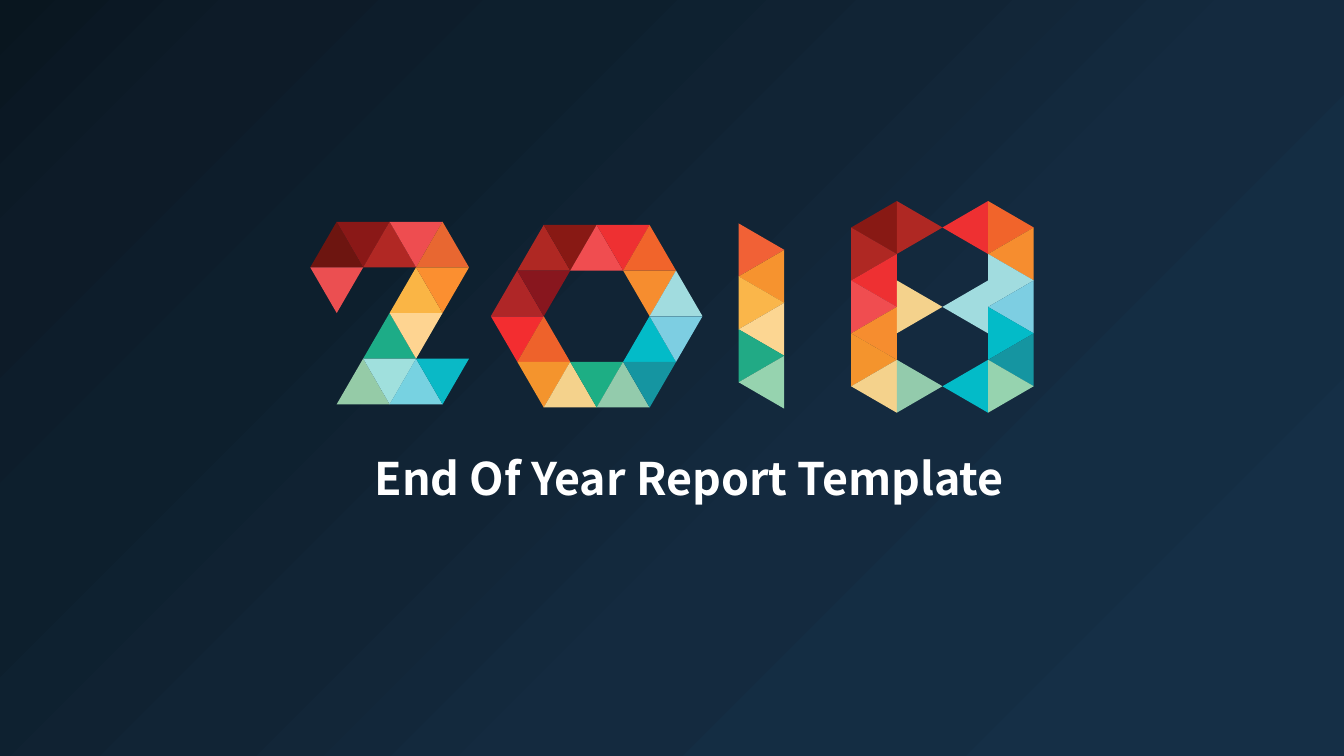
import pptx
import pptx.util
import pptx.dml.color
import pptx.enum.shapes
import pptx.enum.text
import pptx.oxml
import pptx.oxml.ns

Pt = pptx.util.Pt

COLORS = {
    "white": "FFFFFF",
    "umber": "6D1510", "maroon": "8A1817", "rust": "B12824", "coral": "EE4D50",
    "copper": "E86731", "salmon": "EB4F51", "honey": "FAB545", "orange": "FB8F30",
    "jade": "1DAC87", "cream": "FED491", "sage": "95CBA7", "ice": "A0E0DD",
    "sky": "77D2E1", "cyan": "0AB9C6",
    "brick": "AF2823", "wine": "881914", "rose": "F04D50", "red": "EE3032",
    "flame": "F1642B", "ruby": "AF2627", "plum": "88161E", "amber": "F68D2F",
    "mist": "A1DCDF", "scarlet": "F32D30", "ember": "EE622B", "aqua": "03BBC8",
    "azure": "7DCEE2", "ochre": "F4942D", "sand": "F4D28C", "green": "1DAE84",
    "moss": "93CBAC", "teal": "1595A1",
    "tiger": "F16136", "mango": "F6932F", "gold": "FAB64A", "wheat": "FCD692",
    "fern": "21AA85", "mint": "96D3AF",
}
NIGHT = {0: "163047", 12: "152F46", 24: "142D43", 39: "142A3F",
         55: "112435", 72: "0D1F2D", 87: "0D1B28", 100: "09161F"}

BASE, HEIGHT = 37.8, 32.6
HALF = BASE / 2
UP, RIGHT, DOWN, LEFT = 0, 90, 180, 270

TWO = [
    (0, 0, UP, "umber maroon rust coral copper"),
    (0, 1, DOWN, "salmon"),
    (3, 1, UP, "honey orange"),
    (2, 2, UP, "jade cream"),
    (1, 3, UP, "sage ice sky cyan"),
]
ZERO = [
    (1, 0, UP, "brick wine rose red flame"),
    (0, 1, UP, "ruby plum"),
    (5, 1, DOWN, "amber mist"),
    (0, 2, DOWN, "scarlet ember"),
    (5, 2, UP, "aqua azure"),
    (1, 3, DOWN, "ochre sand green moss teal"),
]
ONE = [(0, 0, RIGHT, "tiger mango gold wheat fern mint")]
EIGHT = [
    (0, 0, LEFT, "wine brick red rose amber ochre sand"),
    (1, 0, RIGHT, "brick"),
    (1, 3, RIGHT, "sand"),
    (1, 6, RIGHT, "moss"),
    (2, 0, LEFT, "red"),
    (2, 3, LEFT, "mist"),
    (2, 6, LEFT, "aqua"),
    (3, 0, RIGHT, "flame amber mist azure aqua teal mint"),
]


def paint(slide):
    fill = slide.background.fill
    fill.gradient()
    stops = "".join(
        f'<a:gs pos="{pos * 1000}"><a:srgbClr val="{tone}"/></a:gs>'
        for pos, tone in NIGHT.items())
    grad = pptx.oxml.parse_xml(
        f'<a:gradFill {pptx.oxml.ns.nsdecls("a")} rotWithShape="1">'
        f'<a:gsLst>{stops}</a:gsLst><a:path path="circle">'
        '<a:fillToRect l="100000" t="100000"/></a:path></a:gradFill>')
    old = slide.background._cSld.find(".//" + pptx.oxml.ns.qn("a:gradFill"))
    old.getparent().replace(old, grad)


def tile(slide, x, y, turn, color):
    shape = slide.shapes.add_shape(
        pptx.enum.shapes.MSO_SHAPE.ISOSCELES_TRIANGLE,
        Pt(x), Pt(y), Pt(BASE), Pt(HEIGHT))
    shape.rotation = turn
    shape.shadow.inherit = False
    shape.fill.solid()
    shape.fill.fore_color.rgb = pptx.dml.color.RGBColor.from_string(COLORS[color])
    shape.line.fill.background()


def digit(slide, x, y, strips):
    for col, row, first, names in strips:
        for step, color in enumerate(names.split()):
            turn = (first + 180 * step) % 360
            if first in (UP, DOWN):
                left, top = x + (col + step) * HALF, y + row * HEIGHT
            else:
                left, top = x + col * HEIGHT, y + (row + step) * HALF
            tile(slide, left, top, turn, color)


def title(slide, text):
    box = slide.shapes.add_textbox(Pt(240.5), Pt(318.2), Pt(504), Pt(46))
    frame = box.text_frame
    frame.word_wrap = True
    frame.auto_size = pptx.enum.text.MSO_AUTO_SIZE.SHAPE_TO_FIT_TEXT
    para = frame.paragraphs[0]
    para.text = text
    para.alignment = pptx.enum.text.PP_ALIGN.CENTER
    para.font.name = "Noto Sans CJK SC"
    para.font.size = Pt(32)
    para.font.bold = True
    para.font.color.rgb = pptx.dml.color.RGBColor.from_string(COLORS["white"])


def main():
    deck = pptx.Presentation()
    deck.slide_width, deck.slide_height = Pt(960), Pt(540)
    slide = deck.slides.add_slide(deck.slide_layouts[6])
    paint(slide)
    digit(slide, 221.6, 158.4, TWO)
    digit(slide, 350.6, 160.7, ZERO)
    digit(slide, 525, 162.2, ONE)
    digit(slide, 605.4, 146.2, EIGHT)
    title(slide, "End Of Year Report Template")
    deck.save("out.pptx")


if __name__ == "__main__":
    main()
